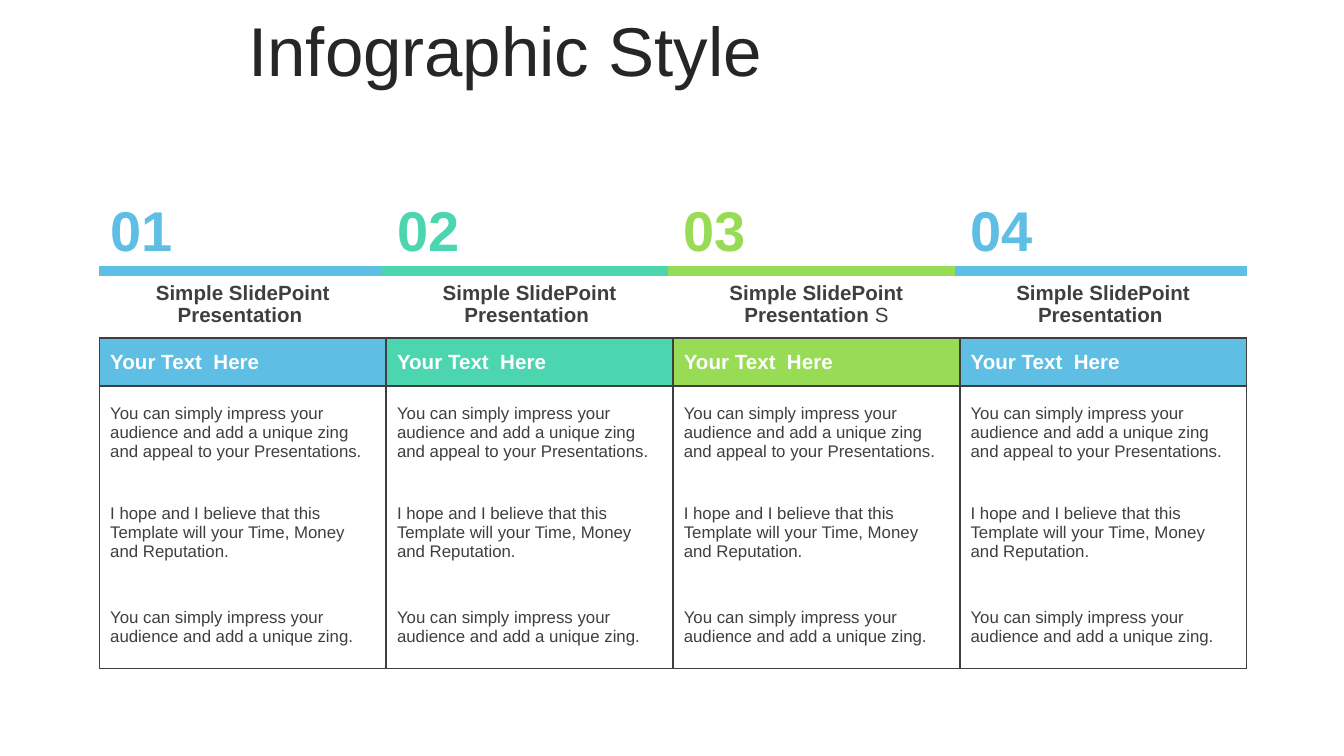
from dataclasses import dataclass

from lxml import etree
from pptx import Presentation
from pptx import util as u
from pptx.dml.color import RGBColor
from pptx.enum import text
from pptx.oxml import ns


@dataclass(frozen=True)
class Theme:
    font: str = "Arial"
    title: str = "262626"
    ink: str = "3F3F3F"
    paper: str = "FFFFFF"
    accents: tuple = ("5EBEE4", "4CD6B0", "98DC56", "5EBEE4")
    title_size: float = 37
    number_size: float = 30
    heading_size: float = 11
    body_size: float = 9
    bar_width: float = 6
    rule_width: float = 1


theme = Theme()


def add_run(paragraph, words, size, color, bold=False):
    run = paragraph.add_run()
    run.text = words
    for name, value in dict(name=theme.font, size=u.Pt(size), bold=bold).items():
        setattr(run.font, name, value)
    run.font.color.rgb = RGBColor.from_string(color)


def set_borders(cell, lines):
    """Draw left, right, top and bottom lines, each a (colour, width) or None."""
    properties = cell._tc.get_or_add_tcPr()
    for position, (side, line) in enumerate(zip("LRTB", lines)):
        border = etree.Element(ns.qn(f"a:ln{side}"))
        properties.insert(position, border)
        if line is None:
            etree.SubElement(border, ns.qn("a:noFill"))
            continue
        color, width = line
        border.set("w", str(u.Pt(width)))
        fill = etree.SubElement(border, ns.qn("a:solidFill"))
        etree.SubElement(fill, ns.qn("a:srgbClr"), val=color)


presentation = Presentation()
width = u.Inches(10)
height = width * 9 // 16
presentation.slide_width, presentation.slide_height = width, height
slide = presentation.slides.add_slide(presentation.slide_layouts[6])

# Title
title = slide.shapes.add_textbox(
    int(width * 0.02), u.Inches(0.2), int(width * 0.712), int(height * 0.08))
frame_format = dict(
    word_wrap=True, vertical_anchor=text.MSO_ANCHOR.MIDDLE,
    margin_left=u.Inches(0.07), margin_right=u.Inches(0.07),
    margin_top=u.Inches(0.04), margin_bottom=u.Inches(0.04))
for name, value in frame_format.items():
    setattr(title.text_frame, name, value)
paragraph = title.text_frame.paragraphs[0]
paragraph.alignment = text.PP_ALIGN.CENTER
paragraph.line_spacing = 0.8
add_run(paragraph, "Infographic Style", theme.title_size, theme.title)

# Table: number, heading, coloured label, then three body rows
row_heights = [0.58, 0.5, 0.36, 0.69, 0.8, 0.61]
body_texts = [
    "You can simply impress your audience and add a unique zing and appeal to your Presentations.",
    "I hope and I believe that this Template will your Time, Money and Reputation.",
    "You can simply impress your audience and add a unique zing.",
]
column_count, row_count = len(theme.accents), len(row_heights)
column_width = int(width * 0.2134)
LABEL_ROW = 2

table = slide.shapes.add_table(
    row_count, column_count, int(width * 0.074), int(height * 0.255),
    column_width * column_count, u.Inches(sum(row_heights))).table
table.first_row = table.horz_banding = False
for column in table.columns:
    column.width = column_width
for row, row_height in zip(table.rows, row_heights):
    row.height = u.Inches(row_height)

cell_format = dict(
    vertical_anchor=text.MSO_ANCHOR.MIDDLE,
    margin_left=u.Inches(0.08), margin_right=u.Inches(0.08),
    margin_top=u.Inches(0.04), margin_bottom=u.Inches(0.04))
rule = (theme.ink, theme.rule_width)
gap = (theme.paper, theme.bar_width)

for column_index, accent in enumerate(theme.accents):
    contents = [
        (f"{column_index + 1:02}", theme.number_size, accent, True),
        ("Simple SlidePoint Presentation ", theme.heading_size, theme.ink, True),
        ("Your Text  Here", theme.heading_size, theme.paper, True),
        *[(words, theme.body_size, theme.ink) for words in body_texts],
    ]
    horizontal_lines = [
        None, (accent, theme.bar_width), rule, rule, None, None, rule]
    for row_index, content in enumerate(contents):
        cell = table.cell(row_index, column_index)
        for name, value in cell_format.items():
            setattr(cell, name, value)
        paragraph = cell.text_frame.paragraphs[0]
        add_run(paragraph, *content)
        if row_index == 1:
            paragraph.alignment = text.PP_ALIGN.CENTER
            if column_index == 2:
                add_run(paragraph, "S", theme.heading_size, theme.ink)

        cell.fill.solid()
        cell.fill.fore_color.rgb = RGBColor.from_string(
            accent if row_index == LABEL_ROW else theme.paper)
        if row_index > LABEL_ROW:
            color = cell._tc.tcPr.find(".//" + ns.qn("a:srgbClr"))
            etree.SubElement(color, ns.qn("a:alpha"), val="20000")

        if row_index >= LABEL_ROW:
            left = right = rule
        else:
            left = gap if column_index > 0 else None
            right = gap if column_index < column_count - 1 else None
        set_borders(cell, [left, right, *horizontal_lines[row_index:row_index + 2]])

presentation.save("out.pptx")
